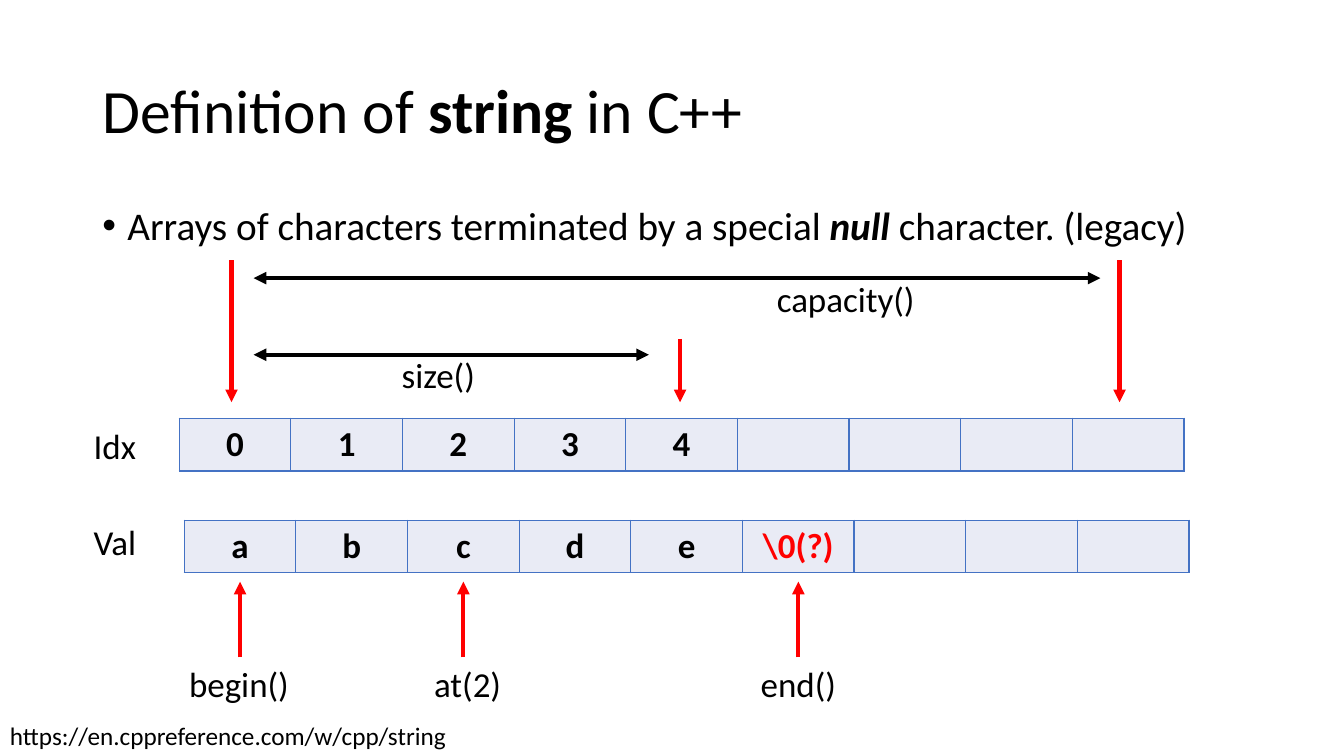
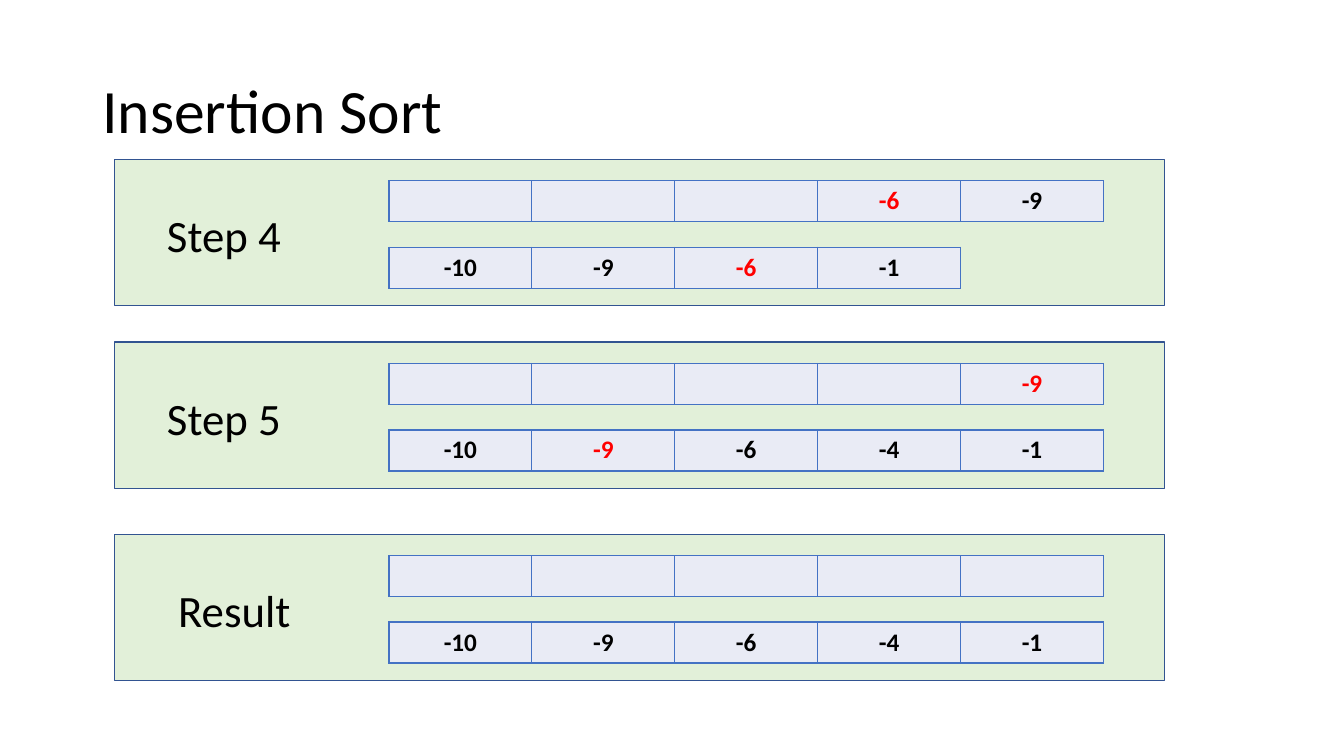
import pptx
import pptx.dml.color
import pptx.enum.shapes
import pptx.enum.text
import pptx.oxml
import pptx.oxml.ns
import pptx.util

Pt = pptx.util.Pt
ALIGN = pptx.enum.text.PP_ALIGN
FONT = "Calibri"
COLORS = {
    "text": "000000",
    "accent": "FF0000",
    "cell": "E9EBF5",
    "border": "4472C4",
    "panel": "E2F0D9",
    "panel_line": "325491",
}
A_NS = pptx.oxml.ns.nsdecls("a")


def rgb(name):
    return pptx.dml.color.RGBColor.from_string(COLORS[name])


def add_run(p, text, size, bold=False, italic=False, color="text"):
    r = p.add_run()
    r.text = text
    r.font.name = FONT
    r.font.size = Pt(size)
    r.font.bold = bold
    r.font.italic = italic
    r.font.color.rgb = rgb(color)


def add_label(s, x, y, w, h, text, size):
    tf = s.shapes.add_textbox(Pt(x), Pt(y), Pt(w), Pt(h)).text_frame
    tf.word_wrap = True
    add_run(tf.paragraphs[0], text, size)


def add_title_slide(prs, runs):
    s = prs.slides.add_slide(prs.slide_layouts[5])
    title = s.shapes.title
    title.left, title.top = Pt(66), Pt(28.8)
    title.width, title.height = Pt(828), Pt(104.4)
    tf = title.text_frame
    tf.word_wrap = True
    tf.auto_size = pptx.enum.text.MSO_AUTO_SIZE.NONE
    tf.vertical_anchor = pptx.enum.text.MSO_ANCHOR.MIDDLE
    p = tf.paragraphs[0]
    p.alignment = ALIGN.LEFT
    p.line_spacing = 0.9
    for text, bold in runs:
        add_run(p, text, 44, bold)
    return s


def add_bullet(s, x, y, w, h, runs):
    tf = s.shapes.add_textbox(Pt(x), Pt(y), Pt(w), Pt(h)).text_frame
    tf.word_wrap = True
    p = tf.paragraphs[0]
    p.line_spacing = 0.9
    pPr = p._p.get_or_add_pPr()
    pPr.set("marL", str(Pt(18)))
    pPr.set("indent", str(-Pt(18)))
    pPr.append(pptx.oxml.parse_xml(f'<a:buFont {A_NS} typeface="Arial"/>'))
    pPr.append(pptx.oxml.parse_xml(f'<a:buChar {A_NS} char="•"/>'))
    for text, strong in runs:
        add_run(p, text, 28, strong, strong)


def set_borders(cell):
    tcPr = cell._tc.get_or_add_tcPr()
    for i, side in enumerate("LRTB"):
        tcPr.insert(i, pptx.oxml.parse_xml(
            f'<a:ln{side} {A_NS} w="{Pt(1)}"><a:solidFill>'
            f'<a:srgbClr val="{COLORS["border"]}"/></a:solidFill></a:ln{side}>'))


def add_array(s, x, y, cell_w, h, values, size, red=None):
    frame = s.shapes.add_table(
        1, len(values), Pt(x), Pt(y), Pt(cell_w * len(values)), Pt(h))
    table = frame.table
    table.first_row = False
    table.horz_banding = False
    table.rows[0].height = Pt(h)
    for i, value in enumerate(values):
        table.columns[i].width = Pt(cell_w)
        cell = table.cell(0, i)
        cell.fill.solid()
        cell.fill.fore_color.rgb = rgb("cell")
        set_borders(cell)
        if value:
            p = cell.text_frame.paragraphs[0]
            p.alignment = ALIGN.CENTER
            add_run(p, value, size, True, color="accent" if i == red else "text")


def add_arrow(s, x1, y1, x2, y2, color, both=False):
    c = s.shapes.add_connector(
        pptx.enum.shapes.MSO_CONNECTOR.STRAIGHT, Pt(x1), Pt(y1), Pt(x2), Pt(y2))
    c.line.color.rgb = rgb(color)
    c.line.width = Pt(3)
    ln = c.line._get_or_add_ln()
    for end in ["headEnd", "tailEnd"] if both else ["tailEnd"]:
        ln.append(pptx.oxml.parse_xml(f'<a:{end} {A_NS} type="triangle"/>'))
    c._element.spPr.append(pptx.oxml.parse_xml(f"<a:effectLst {A_NS}/>"))


def add_string_diagram(s, x, y):
    size, cell_w, cell_h, label_h = 25, 79.76, 37.6, 37.6
    val_x, val_y = x + 71.8, y + 185.5

    for dx, dy in [(105.6, 0), (426, 56), (739.9, 0)]:
        add_arrow(s, x + dx, y + dy, x + dx, y + 101.3, "accent")
    for text, end, dy, label_x, label_w in [
        ("capacity()", 726.2, 12.7, 488, 117),
        ("size()", 403.7, 67.4, 220, 73),
    ]:
        add_arrow(s, x + end, y + dy, x + 121.4, y + dy, "text", both=True)
        add_label(s, x + label_x, y + dy - 4.3, label_w, label_h, text, size)

    add_label(s, x, y + 113.5, 50, label_h, "Idx", size)
    add_label(s, x, y + 182.6, 50, label_h, "Val", size)
    add_array(s, x + 68.2, y + 112.8, cell_w, cell_h,
              ["0", "1", "2", "3", "4", "", "", "", ""], size)
    add_array(s, val_x, val_y, cell_w, cell_h,
              ["a", "b", "c", "d", "e", "\\0(?)", "", "", ""], size, red=5)

    for text, col, offset, width in [
        ("begin()", 0, 43.5, 94), ("at(2)", 2, 28, 73), ("end()", 5, 34, 94),
    ]:
        center = val_x + cell_w * (col + 0.5)
        add_arrow(s, center, val_y + 98, center, val_y + 44, "accent")
        add_label(s, center - offset, val_y + 98.3, width, label_h, text, size)


def add_step_panel(s, x, y, w, h, name, name_dx, arrays):
    sp = s.shapes.add_shape(
        pptx.enum.shapes.MSO_SHAPE.RECTANGLE, Pt(x), Pt(y), Pt(w), Pt(h))
    sp.shadow.inherit = False
    sp.fill.solid()
    sp.fill.fore_color.rgb = rgb("panel")
    sp.line.color.rgb = rgb("panel_line")
    sp.line.width = Pt(1)
    add_label(s, x + name_dx, y + 31, 120, 46, name, 32)
    for i, (values, red) in enumerate(arrays):
        add_array(s, x + 195.8, y + 15.3 + 47.4 * i, 102.1, 29.3, values, 18, red)


def build_string_slide(prs):
    s = add_title_slide(
        prs, [("Definition of ", False), ("string", True), (" in C++", False)])
    add_bullet(s, 66, 144, 828, 42, [
        ("Arrays of characters terminated by a special ", False),
        ("null", True),
        (" character. (legacy)", False),
    ])
    add_string_diagram(s, 59.8, 186)
    add_label(s, 0, 511, 480, 29, "https://en.cppreference.com/w/cpp/string", 18)


def build_sort_slide(prs):
    s = add_title_slide(prs, [("Insertion Sort", False)])
    ordered = ["-10", "-9", "-6", "-4", "-1"]
    for y, name, name_dx, arrays in [
        (113.8, "Step 4", 30.2, [(["", "", "", "-6", "-9"], 3),
                                 (["-10", "-9", "-6", "-1"], 2)]),
        (244.4, "Step 5", 30.2, [(["", "", "", "", "-9"], 4), (ordered, 1)]),
        (381.6, "Result", 38.2, [([""] * 5, None), (ordered, None)]),
    ]:
        add_step_panel(s, 82, y, 750, 104.4, name, name_dx, arrays)


def main():
    prs = pptx.Presentation()
    prs.slide_width, prs.slide_height = Pt(960), Pt(540)
    build_string_slide(prs)
    build_sort_slide(prs)
    prs.save("out.pptx")


if __name__ == "__main__":
    main()
